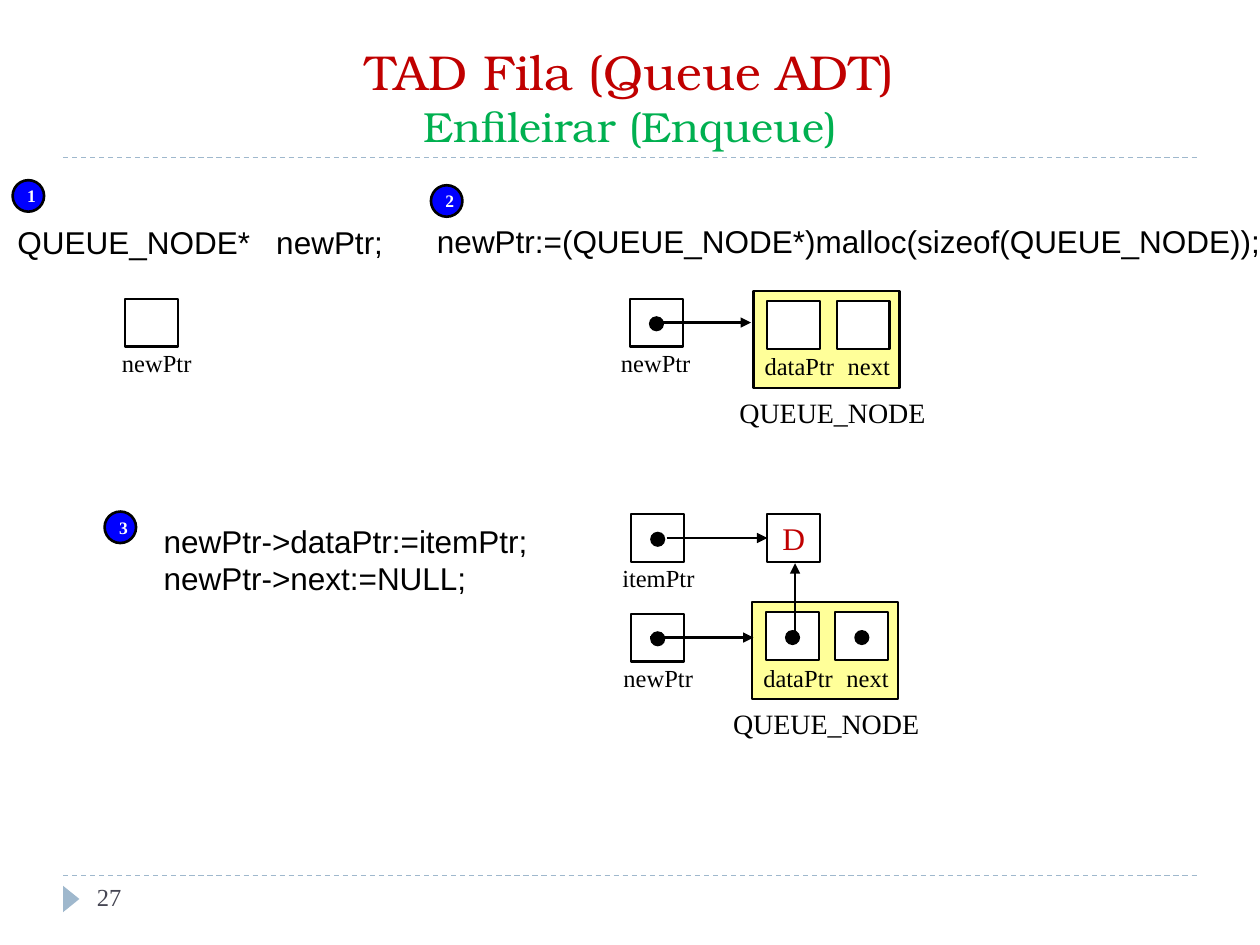
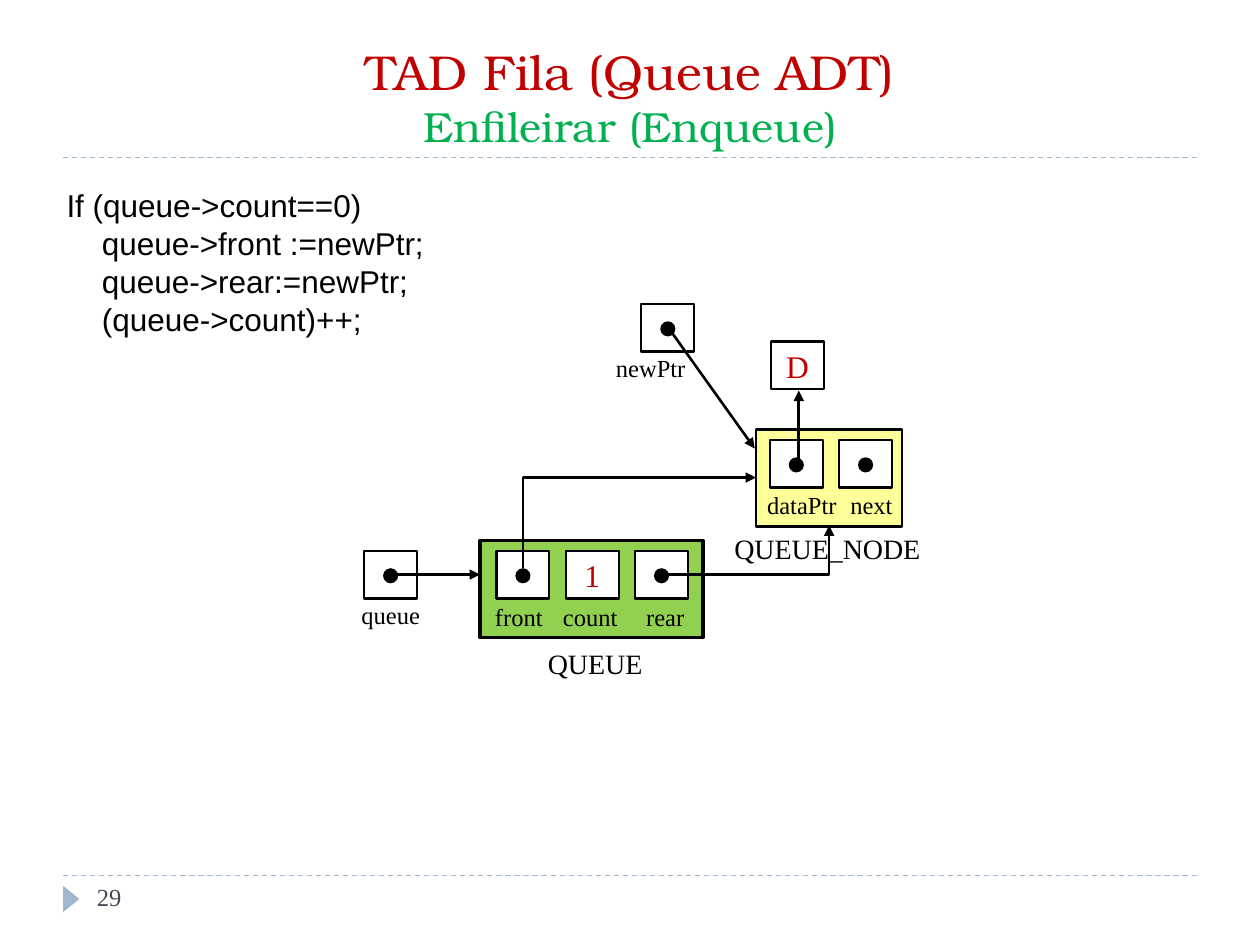
from lxml import etree
from pptx import Presentation
from pptx.dml.color import RGBColor
from pptx.enum import dml, shapes, text
from pptx.oxml.ns import qn
from pptx.util import Inches, Pt

BLACK, WHITE, RED, GREEN = "000000", "FFFFFF", "C00000", "00B050"
BLUE, RULE, NUMBER = "0000FF", "9FB8CD", "464653"
NODE_FILL, QUEUE_FILL = "FFFF99", "92D050"
TITLE_FONT, CODE_FONT, LABEL_FONT = "TeX Gyre Bonum", "Arial", "Times New Roman"
TITLE_ONLY = 5

CELL_WIDTH, CELL_HEIGHT, DOT = 0.42, 0.38, 0.12
BOX_HEIGHT, NODE_WIDTH, QUEUE_WIDTH = 0.77, 1.16, 1.77
CELL_TOP, LABEL_TOP, CELL_STEP = 0.08, 0.43, 0.55
CODE_INDENT = 0.28
LABEL_WIDTHS = {"newPtr": 0.76, "itemPtr": 0.78, "dataPtr": 0.76, "next": 0.54,
                "queue": 0.67, "front": 0.58, "count": 0.64, "rear": 0.51}
CAPTION_WIDTHS = {"QUEUE_NODE": 1.69, "QUEUE": 0.96}


def color(value):
    return RGBColor.from_string(value)


class QueueSlides:
    """Holds the presentation, its style and the slide being drawn."""

    def __init__(self):
        self.presentation = Presentation()
        self.presentation.slide_width = Inches(10)
        self.presentation.slide_height = Inches(7.5)
        self.slide = None

    def new_slide(self, number):
        layout = self.presentation.slide_layouts[TITLE_ONLY]
        self.slide = self.presentation.slides.add_slide(layout)
        for y in (1.25, 6.95):
            rule = self.line((0.5, y), (9.5, y), RULE, 0.75)
            rule.line.dash_style = dml.MSO_LINE.DASH
        marker = self.shape(shapes.MSO_SHAPE.ISOSCELES_TRIANGLE, 0.46, 7.07, 0.21, 0.13, RULE)
        marker.rotation = 90
        self.title()
        self.text(0.67, 6.95, 2.17, 0.4, [str(number)], 14, LABEL_FONT, NUMBER)

    def title(self):
        title = self.slide.shapes.title
        title.left, title.top = Inches(0.5), Inches(0.25)
        title.width, title.height = Inches(9), Inches(1)
        frame = title.text_frame
        frame.auto_size = text.MSO_AUTO_SIZE.NONE
        frame.vertical_anchor = text.MSO_ANCHOR.BOTTOM
        paragraph = frame.paragraphs[0]
        paragraph.alignment = text.PP_ALIGN.CENTER
        self.run(paragraph, "TAD Fila (Queue ADT)", 28, TITLE_FONT, RED)
        paragraph.add_line_break()
        self.run(paragraph, "Enfileirar (Enqueue)", 24, TITLE_FONT, GREEN)

    def run(self, paragraph, words, size, font, ink, bold=False):
        run = paragraph.add_run()
        run.text = words
        run.font.size = Pt(size)
        run.font.name = font
        run.font.bold = bold
        run.font.color.rgb = color(ink)

    def text(self, x, y, width, height, lines, size, font, ink=BLACK):
        box = self.slide.shapes.add_textbox(Inches(x), Inches(y), Inches(width), Inches(height))
        frame = box.text_frame
        frame.word_wrap = False
        for index, words in enumerate(lines):
            paragraph = frame.add_paragraph() if index else frame.paragraphs[0]
            self.run(paragraph, words, size, font, ink)
        return frame

    def code(self, x, y, width, height, *lines):
        return self.text(x, y, width, height, lines, 18, CODE_FONT)

    def label(self, x, y, name):
        self.text(x, y, LABEL_WIDTHS[name], 0.34, [name], 14, LABEL_FONT)

    def caption(self, x, y, name):
        self.text(x, y, CAPTION_WIDTHS[name], 0.37, [name], 16, LABEL_FONT)

    def shape(self, kind, x, y, width, height, fill, line_width=0):
        shape = self.slide.shapes.add_shape(
            kind, Inches(x), Inches(y), Inches(width), Inches(height))
        shape.shadow.inherit = False
        shape.fill.solid()
        shape.fill.fore_color.rgb = color(fill)
        if line_width:
            shape.line.color.rgb = color(BLACK)
            shape.line.width = Pt(line_width)
        else:
            shape.line.fill.background()
        return shape

    def centered(self, shape, words, size, ink, bold=False):
        shape.text_frame.vertical_anchor = text.MSO_ANCHOR.MIDDLE
        paragraph = shape.text_frame.paragraphs[0]
        paragraph.alignment = text.PP_ALIGN.CENTER
        self.run(paragraph, words, size, LABEL_FONT, ink, bold)

    def step(self, x, y, number):
        circle = self.shape(shapes.MSO_SHAPE.OVAL, x, y, 0.25, 0.25, BLUE, 1.5)
        self.centered(circle, str(number), 10, WHITE, bold=True)

    def box(self, x, y, width, fill, line_width=1.25):
        self.shape(shapes.MSO_SHAPE.RECTANGLE, x, y, width, BOX_HEIGHT, fill, line_width)

    def cell(self, x, y, value=None, pointer=False):
        cell = self.shape(shapes.MSO_SHAPE.RECTANGLE, x, y, CELL_WIDTH, CELL_HEIGHT, WHITE, 1.25)
        if value:
            self.centered(cell, value, 18, RED)
        if pointer:
            self.shape(shapes.MSO_SHAPE.OVAL, x + 0.15, y + 0.14, DOT, DOT, BLACK)

    def variable(self, x, y, name, label_shift, pointer=True):
        """A cell with its name below it."""
        self.cell(x, y, pointer=pointer)
        self.label(x + label_shift, y + 0.34, name)

    def node(self, x, y, pointer=False):
        self.box(x, y, NODE_WIDTH, NODE_FILL)
        for index, (name, label_x) in enumerate((("dataPtr", -0.01), ("next", 0.65))):
            self.cell(x + 0.11 + index * CELL_STEP, y + CELL_TOP, pointer=pointer)
            self.label(x + label_x, y + LABEL_TOP, name)

    def filled_node(self, x, y):
        """A node whose data pointer leads to the item D above it."""
        self.node(x, y, pointer=True)
        self.cell(x + 0.12, y - 0.7, value="D")
        self.arrow((x + 0.34, y + 0.26), (x + 0.34, y - 0.31))

    def queue(self, x, y, count):
        self.box(x, y, QUEUE_WIDTH, QUEUE_FILL, 2)
        fields = (("front", 0.02, None), ("count", 0.56, count), ("rear", 1.22, None))
        for index, (name, label_x, value) in enumerate(fields):
            self.cell(x + 0.13 + index * CELL_STEP, y + CELL_TOP, value, pointer=not value)
            self.label(x + label_x, y + 0.44, name)

    def line(self, start, end, ink=BLACK, width=1.5, kind=shapes.MSO_CONNECTOR.STRAIGHT):
        points = [Inches(length) for length in (*start, *end)]
        connector = self.slide.shapes.add_connector(kind, *points)
        connector.line.color.rgb = color(ink)
        connector.line.width = Pt(width)
        etree.SubElement(connector._element.spPr, qn("a:effectLst"))
        return connector

    def arrow(self, start, end, kind=shapes.MSO_CONNECTOR.STRAIGHT):
        connector = self.line(start, end, kind=kind)
        outline = connector.line._get_or_add_ln()
        etree.SubElement(outline, qn("a:tailEnd"), type="triangle")
        return connector

    def elbow(self, start, end, up_first=False):
        """An arrow with one corner, going right and up in either order."""
        if up_first:
            # A quarter turn about the centre swaps the sides of the frame.
            middle_x, middle_y = (start[0] + end[0]) / 2, (start[1] + end[1]) / 2
            half_rise, half_run = (start[1] - end[1]) / 2, (end[0] - start[0]) / 2
            start = (middle_x - half_rise, middle_y - half_run)
            end = (middle_x + half_rise, middle_y + half_run)
        properties = self.arrow(start, end, shapes.MSO_CONNECTOR.ELBOW)._element.spPr
        properties.find(qn("a:prstGeom")).set("prst", "bentConnector2")
        if up_first:
            properties.find(qn("a:xfrm")).set("rot", str(270 * 60000))


def draw_new_node(deck):
    deck.new_slide(27)
    deck.code(0.04, 1.72, 3.17, 0.4, "QUEUE_NODE*   newPtr;")
    deck.code(3.37, 1.71, 6.8, 0.4, "newPtr:=(QUEUE_NODE*)malloc(sizeof(QUEUE_NODE));")
    deck.code(1.2, 4.09, 3.12, 0.71, "newPtr->dataPtr:=itemPtr;", "newPtr->next:=NULL;")
    for number, (x, y) in enumerate(((0.1, 1.43), (3.42, 1.47), (0.83, 4.06)), 1):
        deck.step(x, y, number)

    deck.variable(0.99, 2.37, "newPtr", -0.12, pointer=False)

    deck.variable(5, 2.37, "newPtr", -0.17)
    deck.node(5.98, 2.31)
    deck.arrow((5.2, 2.56), (5.96, 2.56))
    deck.caption(5.77, 3.09, "QUEUE_NODE")

    deck.variable(5.01, 4.08, "itemPtr", -0.17)
    deck.arrow((5.29, 4.27), (6.09, 4.27))
    deck.variable(5.01, 4.87, "newPtr", -0.16)
    deck.filled_node(5.97, 4.78)
    deck.arrow((5.16, 5.06), (5.98, 5.06))
    deck.caption(5.72, 5.56, "QUEUE_NODE")


def draw_empty_queue_case(deck):
    deck.new_slide(29)
    frame = deck.code(0.43, 1.43, 3.06, 1.31, "If (queue->count==0)", "queue->front :=newPtr;",
                      "queue->rear:=newPtr;", "(queue->count)++;")
    for paragraph in frame.paragraphs[1:]:
        paragraph._p.get_or_add_pPr().set("marL", str(Inches(CODE_INDENT)))

    deck.variable(5.09, 2.41, "newPtr", -0.3)
    deck.arrow((5.34, 2.65), (5.99, 3.56))
    deck.filled_node(6, 3.41)
    deck.caption(5.73, 4.17, "QUEUE_NODE")

    deck.variable(2.89, 4.37, "queue", -0.12)
    deck.queue(3.81, 4.29, "1")
    deck.caption(4.25, 5.08, "QUEUE")
    deck.arrow((3.1, 4.56), (3.81, 4.56))
    deck.elbow((4.15, 4.51), (6, 3.79), up_first=True)
    deck.elbow((5.3, 4.56), (6.58, 4.17))


def main():
    deck = QueueSlides()
    draw_new_node(deck)
    draw_empty_queue_case(deck)
    deck.presentation.save("out.pptx")


if __name__ == "__main__":
    main()
